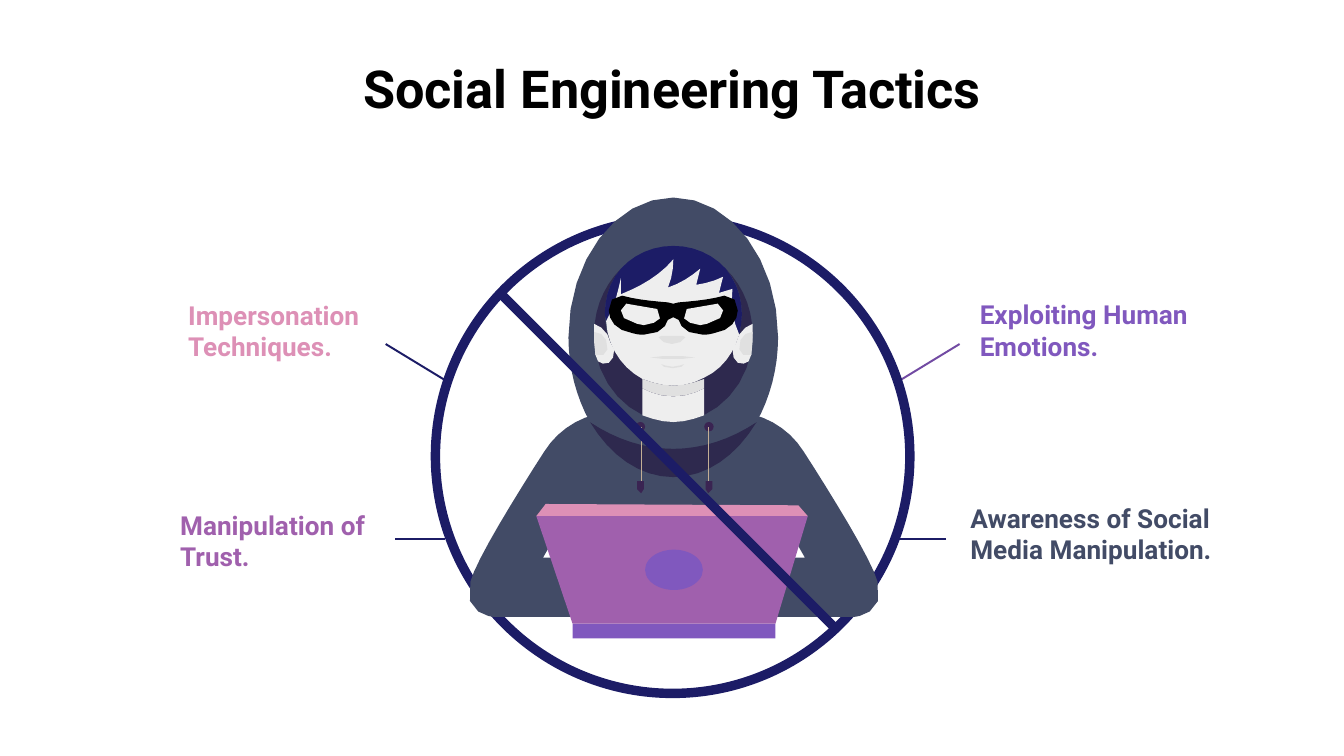
import math

from lxml import etree
from pptx import Presentation
from pptx.dml.color import RGBColor
from pptx.enum import shapes, text
from pptx.oxml.ns import qn
from pptx.util import Pt

THEME = dict(
    font="Roboto", title_size=28, label_size=14, ring=5.04, leader=1.06, cord=0.56,
    black="000000", navy="1C1C66", violet="724BA3", slate="424B66", plum="2E294E",
    skin="EEEEEE", shade="E0E0E0", pink="DD90B6", mauve="A060AD", purple="8058BE",
    grape="3A2452", sand="C3AE95",
)
GRID = 0.72  # points in one drawing unit; all coordinates below are in units

TITLE = ("Social Engineering Tactics", (50, 32, 900, 63))
# text, colour, box (left, top, width, height)
LABELS = [
    ("Impersonation Techniques.", "pink", (140, 235, 142, 22)),
    ("Exploiting Human Emotions.", "purple", (729, 224, 175, 43)),
    ("Manipulation of Trust.", "mauve", (134, 391, 142, 22)),
    ("Awareness of Social Media Manipulation.", "slate", (722, 375, 190, 44)),
]
LEADERS = [
    ("navy", (294, 401, 331, 401)),
    ("violet", (714, 256, 668, 284)),
    ("navy", (704, 401, 668, 401)),
    ("navy", (287, 256, 333, 284)),
]
RING = (324, 163, 353, 353)
SLASH = (372, 218, 622, 468)

# colour, kind, mirror axis, outline; kind is
#   whole: drawn as given, pair: drawn again mirrored, half: closed by its mirror
HOODIE = [
    ("slate", "half", 501.5, "M 501.5 307 L 451 307 C 432 309 415 320 405 336 "
     "C 385 367 354 417 350 433 C 343 457 367 459 367 459 L 467 459 L 453 415 "
     "L 404 415 L 424 380 L 501.5 380"),
    ("plum", "half", 501, "M 501 334 C 480 334 458 327 439 314 "
     "C 454 339 476 355 501 355"),
    ("slate", "half", 501, "M 501 147 C 458 147 423 194 423 251 "
     "C 423 274 429 296 439 314 C 458 326 480 333 501 333"),
    ("plum", "half", 501, "M 501 314 C 469 314 442 285 442 249 C 442 229 450 212 462 200 "
     "C 454 209 450 221 450 234 C 450 263 473 287 501 287"),
]
FACE = [
    ("navy", "whole", 0, "M 501 183 C 486 183 472 189 462 200 C 454 209 450 221 450 234 "
     "L 451 239 L 501 239 L 550 249 C 551 244 552 239 552 234 C 552 221 548 210 540 200 "
     "C 530 189 516 183 501 183"),
    ("skin", "whole", 0, "M 501 193 C 491 205 477 213 462 219 L 462 207 "
     "C 460 216 458 225 454 233 L 451 239 C 452 258 463 274 478 282 "
     "C 486 285 493 287 501 287 C 509 287 517 285 524 281 C 537 275 546 263 550 249 "
     "L 547 241 C 545 233 544 224 545 215 L 535 218 L 538 206 "
     "C 532 209 525 211 518 212 L 521 200 C 514 206 506 211 497 214 "
     "C 500 207 501 200 501 193"),
    ("black", "half", 501, "M 501 226 L 497 225 C 485 224 474 223 463 220 "
     "C 457 219 452 225 453 231 C 453 238 458 246 471 248 C 474 249 476 249 479 249 "
     "C 492 249 496 242 497 238 C 498 237 499 236 501 236"),
    ("skin", "pair", 500, "M 466 226 C 463 226 461 228 462 231 C 462 234 464 240 474 241 "
     "C 476 241 478 242 479 242 C 485 242 489 239 491 237 C 493 235 491 231 489 230"),
    ("shade", "half", 501, "M 501 287 C 493 287 486 285 478 282 L 478 289 "
     "C 484 292 491 295 501 295"),
    ("skin", "half", 501, "M 501 295 C 491 295 484 292 478 289 L 478 309 "
     "C 486 312 493 314 501 314"),
]
LAPTOP = [
    ("pink", "whole", 0, "M 406 375 L 399 384 L 601 384 L 594 376"),
    ("mauve", "whole", 0, "M 399 384 L 426 464 L 577 464 L 601 384"),
]
DETAILS = [
    ("shade", "half", 500.5, "M 500.5 265 L 493 265 L 484 266 L 493 267 L 500.5 267"),
    ("shade", "half", 500.5, "M 500.5 273 L 495 272 L 492 271 L 494 273 L 500.5 274"),
    ("shade", "half", 500, "M 500 250 L 492 250 L 490 251 C 492 254 495 256 500 256"),
    ("skin", "pair", 501, "M 560 241 C 556 242 553 245 550 249 C 549 253 547 257 545 260 "
     "C 545 265 546 268 549 270 C 552 272 555 270 557 269 L 559 264 L 560 247"),
    ("shade", "pair", 501, "M 560 247 C 556 247 553 249 551 253 C 549 258 550 263 553 264 "
     "L 559 264 L 560 254"),
]
TOGGLES = [
    ("grape", "pair", 502, "M 525 358 L 525 364 C 525 366 526 367 527 367 "
     "C 529 367 530 366 530 364 L 530 358"),
]
LAPTOP_BASE = (426, 464, 151, 11)
LAPTOP_BADGE = (480, 409, 43, 30)
EYELET_LEFTS, EYELET_TOP, EYELET_SIZE = (473, 524), 314, 7
CORD_XS, CORD_TOP, CORD_END = (477, 527), 318, 359
STEP_LENGTH, MAX_STEPS = 8, 8


def rgb(name):
    return RGBColor.from_string(THEME[name])


def units(values):
    return [Pt(v * GRID) for v in values]


def outline_points(outline):
    """Turn M, L and C commands into points, with more of them on longer curves."""
    tokens, points = outline.split(), []
    i = 0
    while i < len(tokens):
        count = 6 if tokens[i] == "C" else 2
        n = [float(t) for t in tokens[i + 1:i + 1 + count]]
        if count == 2:
            points.append(tuple(n))
        else:
            corners = [points[-1]] + list(zip(n[::2], n[1::2]))
            chord = math.dist(corners[0], corners[-1])
            steps = min(MAX_STEPS, math.ceil(chord / STEP_LENGTH))
            for step in range(1, steps + 1):
                t = step / steps
                weights = ((1 - t) ** 3, 3 * t * (1 - t) ** 2, 3 * t * t * (1 - t), t ** 3)
                points.append(tuple(sum(w * c[k] for w, c in zip(weights, corners))
                                    for k in (0, 1)))
        i += count + 1
    return points


def paint(sp, fill=None, line=None, width=0):
    sp.shadow.inherit = False
    if fill:
        sp.fill.solid()
        sp.fill.fore_color.rgb = rgb(fill)
    else:
        sp.fill.background()
    if line:
        sp.line.color.rgb = rgb(line)
        sp.line.width = Pt(width)
    else:
        sp.line.fill.background()


def add_polygon(slide, points, fill):
    points = [units(p) for p in points]
    builder = slide.shapes.build_freeform(*points[0])
    builder.add_line_segments(points[1:], close=True)
    paint(builder.convert_to_shape(), fill)


def add_parts(slide, parts):
    for fill, kind, axis, outline in parts:
        points = outline_points(outline)
        mirrored = [(2 * axis - x, y) for x, y in points]
        if kind == "half":
            points += mirrored[::-1]
        add_polygon(slide, points, fill)
        if kind == "pair":
            add_polygon(slide, mirrored, fill)


def add_preset(slide, preset, box, **style):
    paint(slide.shapes.add_shape(preset, *units(box)), **style)


def add_line(slide, ends, color, width):
    line = slide.shapes.add_connector(shapes.MSO_CONNECTOR.STRAIGHT, *units(ends))
    line.line.color.rgb = rgb(color)
    line.line.width = Pt(width)
    etree.SubElement(line._element.spPr, qn("a:effectLst"))


def write(sp, words, size, color, align, anchor, side):
    tf = sp.text_frame
    tf.word_wrap = True
    tf.auto_size = text.MSO_AUTO_SIZE.NONE
    tf.vertical_anchor = anchor
    tf.margin_left = tf.margin_right = Pt(side)
    tf.margin_top = tf.margin_bottom = Pt(7.2)
    p = tf.paragraphs[0]
    p.text, p.alignment = words, align
    p.font.name, p.font.size, p.font.bold = THEME["font"], Pt(size), True
    p.font.color.rgb = rgb(color)


def main():
    prs = Presentation()
    prs.slide_width, prs.slide_height = Pt(720), Pt(405)
    slide = prs.slides.add_slide(prs.slide_layouts[5])
    oval, rect = shapes.MSO_SHAPE.OVAL, shapes.MSO_SHAPE.RECTANGLE

    title = slide.shapes.title
    title.left, title.top, title.width, title.height = units(TITLE[1])
    write(title, TITLE[0], THEME["title_size"], "black",
          text.PP_ALIGN.CENTER, text.MSO_ANCHOR.TOP, 7.2)

    for color, ends in LEADERS:
        add_line(slide, ends, color, THEME["leader"])
    add_preset(slide, oval, RING, line="navy", width=THEME["ring"])
    add_preset(slide, rect, LAPTOP_BASE, fill="purple")
    add_parts(slide, HOODIE + FACE + LAPTOP)
    add_preset(slide, oval, LAPTOP_BADGE, fill="purple")
    add_parts(slide, DETAILS)
    for left in EYELET_LEFTS:
        add_preset(slide, oval, (left, EYELET_TOP, EYELET_SIZE, EYELET_SIZE), fill="grape")
    for x in CORD_XS:
        add_line(slide, (x, CORD_TOP, x, CORD_END), "sand", THEME["cord"])
    add_parts(slide, TOGGLES)
    add_line(slide, SLASH, "navy", THEME["ring"])

    for words, color, box in LABELS:
        write(slide.shapes.add_textbox(*units(box)), words, THEME["label_size"], color,
              text.PP_ALIGN.LEFT, text.MSO_ANCHOR.MIDDLE, 0)
    prs.save("out.pptx")


if __name__ == "__main__":
    main()
